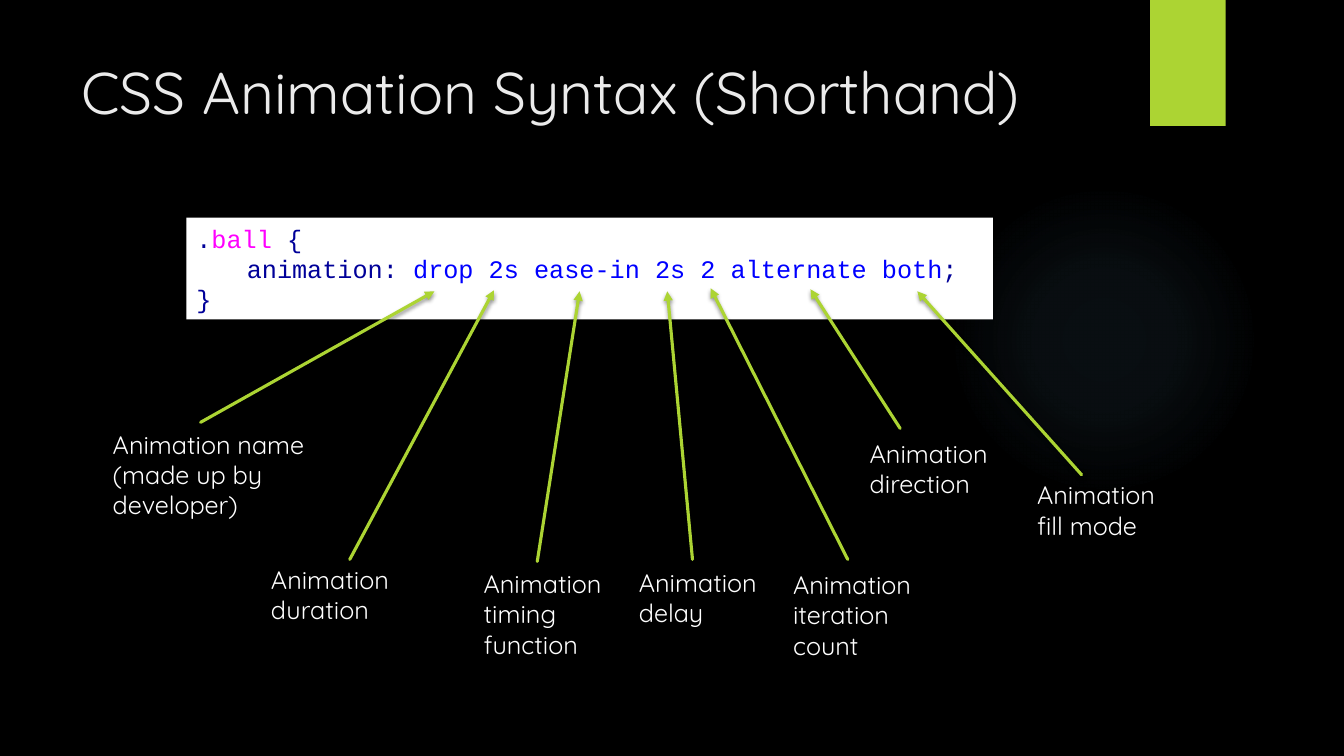
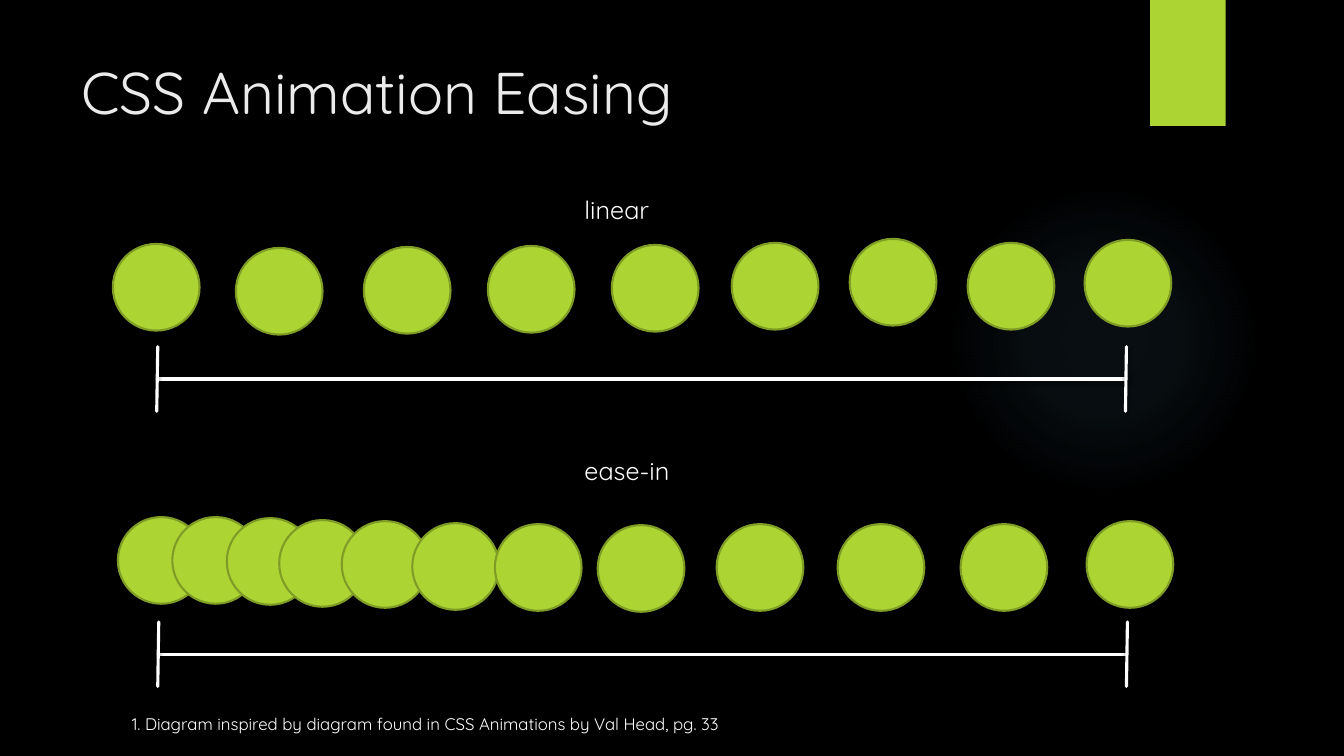
import pptx
import pptx.dml.color
import pptx.enum.shapes
import pptx.enum.text
import pptx.oxml
import pptx.oxml.ns
import pptx.util

# Grid of square cells: 133.33 columns by 75 rows on a widescreen slide
CELL = pptx.util.Inches(0.1)
COLUMNS, ROWS = 133.33, 75
COLORS = {
    "ground": "000000", "title": "EBEBEB", "text": "FFFFFF", "lime": "ACD433",
    "olive": "7F9D26", "glow": "7AC4F0", "navy": "000099", "blue": "0000FF",
    "pink": "FF00FF",
}
FONT, CODE_FONT = "Quicksand", "Courier New"
SHAPES = pptx.enum.shapes.MSO_SHAPE
BALL = 8.6

# Label, its box (left, top, width), arrow start, arrow tip
CALLOUTS = [
    ("Animation name (made up by developer)", (10.2, 42.1, 23.1), (19.9, 41.9), (43.1, 28.9)),
    ("Animation duration", (25.9, 55.5, 15.3), (34.7, 55.5), (49, 28.8)),
    ("Animation timing function", (47, 55.9, 15.3), (53.3, 55.7), (57.5, 28.9)),
    ("Animation delay", (62.4, 55.8, 15.3), (68.7, 55.5), (66.2, 28.9)),
    ("Animation iteration count", (77.7, 56, 15.3), (84.1, 55.5), (70.5, 28.6)),
    ("Animation direction", (85.3, 43, 15.3), (89.3, 42.5), (80.4, 28.7)),
    ("Animation fill mode", (101.9, 47.1, 15.3), (107.3, 47.1), (91, 28.9)),
]
# Left and top of each ball, in time order
LINEAR_BALLS = [
    (11.2, 24.2), (23.4, 24.6), (36.1, 24.5), (48.4, 24.4), (60.7, 24.3),
    (72.6, 24.1), (84.3, 23.7), (96, 24.1), (107.6, 23.8),
]
EASE_IN_BALLS = [
    (11.7, 51.3), (17.1, 51.3), (22.5, 51.4), (27.7, 51.6), (33.9, 51.7), (40.9, 51.9),
    (49.1, 52), (59.3, 52.1), (71.1, 52), (83.1, 52), (95.3, 52), (107.8, 51.7),
]


def cells(*counts):
    """Turn counts of grid cells into lengths."""
    return [round(n * CELL) for n in counts]


def rgb(name):
    """Look up a named colour."""
    return pptx.dml.color.RGBColor.from_string(COLORS[name])


def xml(body):
    """Parse a DrawingML element whose root tag lacks its namespace."""
    tag, rest = body.split(">", 1)
    return pptx.oxml.parse_xml(f"{tag} {pptx.oxml.ns.nsdecls('a')}>{rest}")


def write(tf, paragraphs, size=18, font=FONT, color="text", wrap=True, anchor="TOP"):
    """Fill a text frame; a paragraph is (indent in cells, [(text, colour), ...]) or a string."""
    tf.word_wrap = wrap
    tf.vertical_anchor = pptx.enum.text.MSO_ANCHOR[anchor]
    for i, paragraph in enumerate(paragraphs):
        indent, runs = (0, [(paragraph, color)]) if isinstance(paragraph, str) else paragraph
        p = tf.add_paragraph() if i else tf.paragraphs[0]
        p.alignment = pptx.enum.text.PP_ALIGN.LEFT
        p._p.get_or_add_pPr().set("marL", str(cells(indent)[0]))
        for text, shade in runs:
            r = p.add_run()
            r.text = text
            r.font.size = pptx.util.Pt(size)
            r.font.name = font
            r.font.color.rgb = rgb(shade)


def label(s, text, left, top, width, height=4, **style):
    """Add a text box."""
    sp = s.shapes.add_textbox(*cells(left, top, width, height))
    write(sp.text_frame, [text], **style)


def shape(s, kind, box, fill=None, line=None):
    """Add a flat preset shape with an optional fill and outline."""
    sp = s.shapes.add_shape(kind, *cells(*box))
    sp.shadow.inherit = False
    if fill:
        sp.fill.solid()
        sp.fill.fore_color.rgb = rgb(fill)
    if line:
        sp.line.color.rgb = rgb(line)
        sp.line.width = pptx.util.Pt(1.5)
    else:
        sp.line.fill.background()
    return sp


def line(s, start, end, color="text", arrow=False):
    """Draw a round-capped line with a soft shadow, optionally with an arrowhead at its end."""
    sp = s.shapes.add_connector(pptx.enum.shapes.MSO_CONNECTOR.STRAIGHT, *cells(*start, *end))
    sp.line.color.rgb = rgb(color)
    sp.line.width = pptx.util.Pt(2.25)
    ln = sp.line._get_or_add_ln()
    ln.set("cap", "rnd")
    if arrow:
        ln.append(xml('<a:tailEnd type="triangle"></a:tailEnd>'))
    sp.element.spPr.append(xml(
        '<a:effectLst><a:outerShdw blurRad="38100" dist="25400" dir="5400000" rotWithShape="0">'
        f'<a:srgbClr val="{COLORS["ground"]}"><a:alpha val="45000"/></a:srgbClr>'
        '</a:outerShdw></a:effectLst>'))


def glow(s, box):
    """Add a faint round glow that fades outwards."""
    sp = shape(s, SHAPES.OVAL, box)
    stops = "".join(
        f'<a:gs pos="{pos}000"><a:srgbClr val="{COLORS["glow"]}">'
        f'<a:alpha val="{alpha}000"/></a:srgbClr></a:gs>'
        for pos, alpha in [(0, 7), (36, 6), (69, 0)])
    sp.element.spPr.insert(2, xml(
        f'<a:gradFill><a:gsLst>{stops}</a:gsLst><a:path path="circle">'
        '<a:fillToRect l="50000" t="50000" r="50000" b="50000"/></a:path></a:gradFill>'))


def new_slide(prs, title):
    """Add a slide with the shared ground, glow, tab and title."""
    s = prs.slides.add_slide(prs.slide_layouts[6])
    s.background.fill.solid()
    s.background.fill.fore_color.rgb = rgb("ground")
    glow(s, (94.1, 18.3, 30.8, 30.8))
    shape(s, SHAPES.RECTANGLE, (114.1, 0, 7.5, 12.5), "lime")
    label(s, title, 7.1, 5, 102.9, 15.3, size=42, color="title")
    return s


def easing(s, name, name_top, balls, left, right, y):
    """Draw a named row of balls above a measuring bar."""
    line(s, (left, y), (right, y))
    for x in (left, right):
        line(s, (x - 0.05, y + 3.2), (x + 0.05, y - 3.2))
    for x, top in balls:
        shape(s, SHAPES.OVAL, (x, top, BALL, BALL), "lime", "olive")
    label(s, name, 57, name_top, 8.7 if len(name) < 7 else 10.9, wrap=False)


def syntax_slide(prs):
    """Build the slide that explains each part of the shorthand."""
    s = new_slide(prs, "CSS Animation Syntax (Shorthand)")
    code = shape(s, SHAPES.RECTANGLE, (18.5, 21.6, 80, 10.1), "text")
    write(code.text_frame, [
        (0, [(".", "navy"), ("ball ", "pink"), ("{", "navy")]),
        (5, [("animation:", "navy"), (" drop 2s ease-in 2s 2 alternate both", "blue"),
             (";", "navy")]),
        (0, [("}", "navy")]),
    ], font=CODE_FONT, anchor="MIDDLE")
    for text, box, start, tip in CALLOUTS:
        label(s, text, *box, height=7.1)
        line(s, start, tip, "lime", arrow=True)


def easing_slide(prs):
    """Build the slide that compares two easings."""
    s = new_slide(prs, "CSS Animation Easing")
    easing(s, "linear", 18.8, LINEAR_BALLS, 15.6, 111.7, 37.6)
    easing(s, "ease-in", 44.7, EASE_IN_BALLS, 15.7, 111.8, 64.9)
    label(s, "1. Diagram inspired by diagram found in CSS Animations by Val Head, pg. 33",
          12.1, 70.3, 90.3, 3, size=12)


def main():
    """Build and save the deck."""
    prs = pptx.Presentation()
    prs.slide_width, prs.slide_height = cells(COLUMNS, ROWS)
    syntax_slide(prs)
    easing_slide(prs)
    prs.save("out.pptx")


main()
